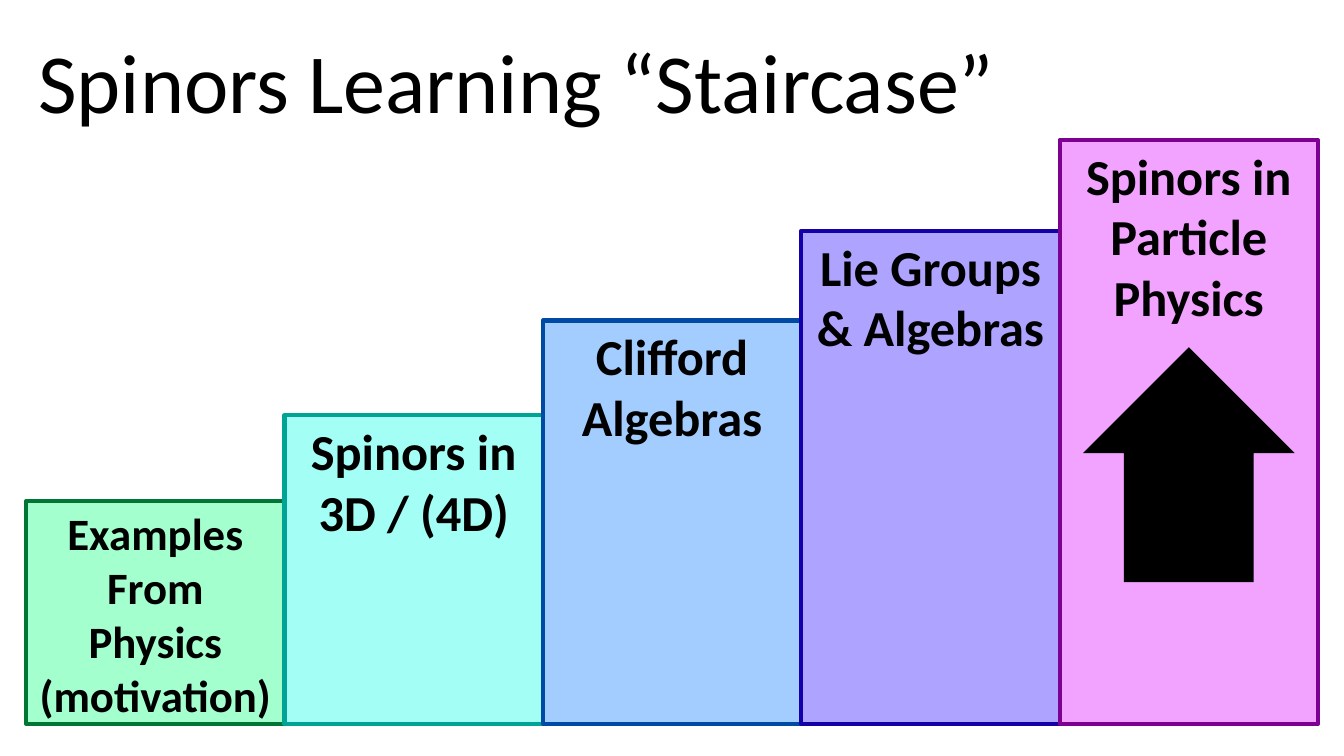
from dataclasses import dataclass

from pptx import Presentation
from pptx.dml.color import RGBColor
from pptx.enum.shapes import MSO_SHAPE
from pptx.enum.text import MSO_ANCHOR, MSO_AUTO_SIZE, PP_ALIGN
from pptx.util import Inches, Pt


@dataclass(frozen=True)
class Theme:
    font: str = "Calibri"
    ink: str = "000000"
    title: int = 60
    label: int = 36
    small: int = 32
    edge: int = 3


THEME = Theme()
FLOOR = 7.18
LEFT = 0.26
WIDTH = 2.5625

# label, top, fill, edge colour, type size
STEPS = [
    ("Examples From Physics (motivation)", 4.97, "A3FFCD", "007635", THEME.small),
    ("Spinors in 3D / (4D)", 4.12, "A3FFF6", "00A494", THEME.label),
    ("Clifford Algebras", 3.18, "A3CDFF", "004AA4", THEME.label),
    ("Lie Groups & Algebras", 2.29, "AEA3FF", "1400A8", THEME.label),
    ("Spinors in Particle Physics", 1.39, "F2A3FF", "7D0092", THEME.label),
]


def color(code):
    return RGBColor.from_string(code)


def inches(box):
    return [Inches(side) for side in box]


def write(frame, text, size, bold=False, align=PP_ALIGN.LEFT):
    frame.word_wrap = True
    frame.vertical_anchor = MSO_ANCHOR.TOP
    para = frame.paragraphs[0]
    para.alignment = align
    run = para.add_run()
    run.text = text
    run.font.name = THEME.font
    run.font.size = Pt(size)
    run.font.bold = bold
    run.font.color.rgb = color(THEME.ink)


def add_solid(slide, kind, box, fill):
    shape = slide.shapes.add_shape(kind, *inches(box))
    shape.shadow.inherit = False
    shape.fill.solid()
    shape.fill.fore_color.rgb = color(fill)
    return shape


def add_title(slide, box):
    frame = slide.shapes.add_textbox(*inches(box)).text_frame
    write(frame, "Spinors Learning “Staircase”", THEME.title)
    frame.auto_size = MSO_AUTO_SIZE.SHAPE_TO_FIT_TEXT


def add_step(slide, box, label, fill, edge, size):
    step = add_solid(slide, MSO_SHAPE.RECTANGLE, box, fill)
    step.line.color.rgb = color(edge)
    step.line.width = Pt(THEME.edge)
    write(step.text_frame, label, size, True, PP_ALIGN.CENTER)


def add_stairs(slide, left, floor, width):
    """Draw the steps side by side on one floor; return the last step's box."""
    for index, (label, top, fill, edge, size) in enumerate(STEPS):
        box = (left + index * width, top, width, floor - top)
        add_step(slide, box, label, fill, edge, size)
    return box


def add_arrow(slide, box):
    """Point upward, centred across the given step and below its label."""
    left, top, width, _ = box
    long, thick = 2.33, 2.1
    place = (left + (width - long) / 2, top + 2.17, long, thick)
    arrow = add_solid(slide, MSO_SHAPE.RIGHT_ARROW, place, THEME.ink)
    arrow.line.fill.background()
    arrow.adjustments[0] = 0.613
    arrow.adjustments[1] = 0.5
    arrow.rotation = 270


def main():
    deck = Presentation()
    deck.slide_width = Inches(13.33)
    deck.slide_height = Inches(7.5)
    slide = deck.slides.add_slide(deck.slide_layouts[6])
    last = add_stairs(slide, LEFT, FLOOR, WIDTH)
    add_title(slide, (0.28, 0.24, 9.88, 1.11))
    add_arrow(slide, last)
    deck.save("out.pptx")


if __name__ == "__main__":
    main()
